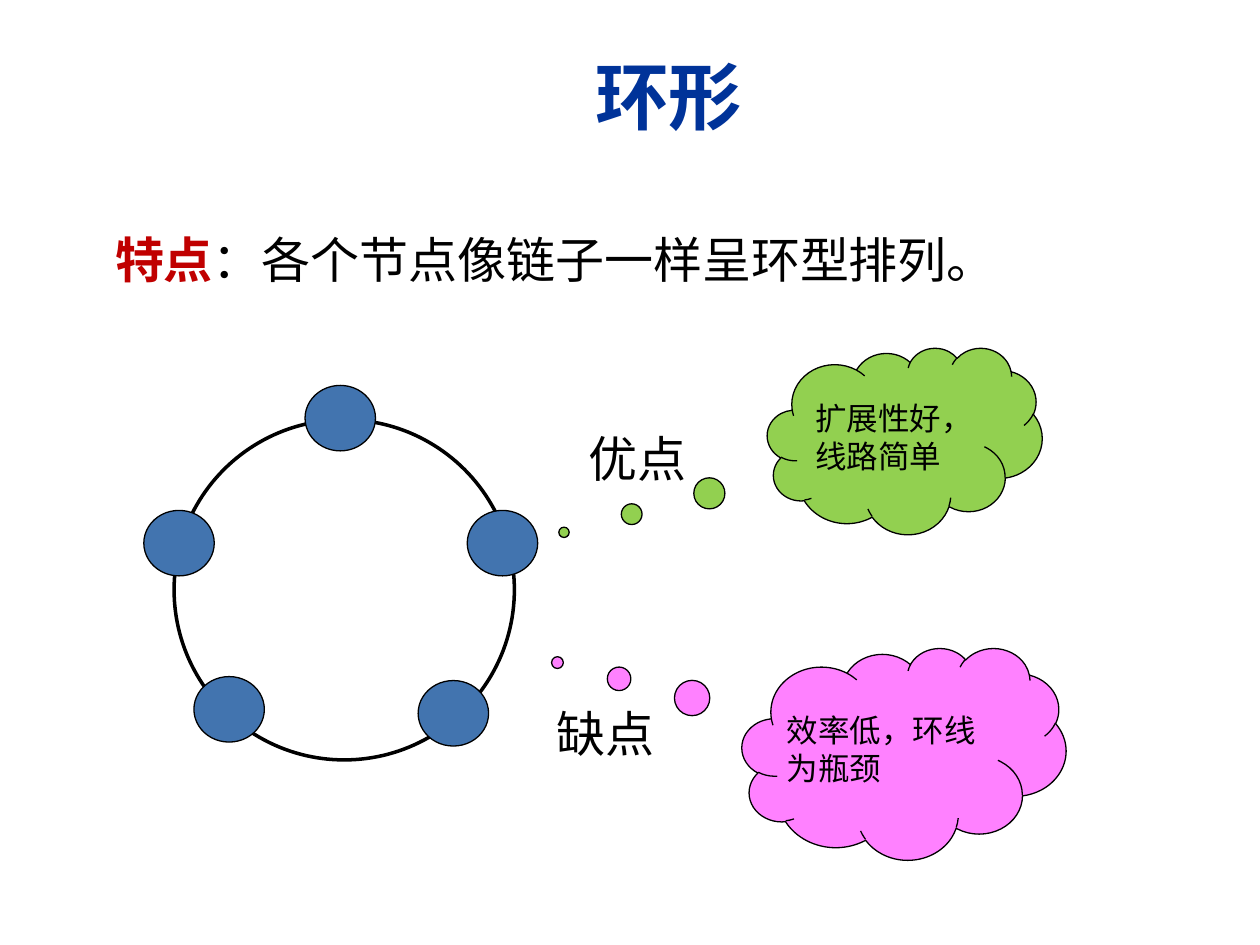
from dataclasses import dataclass

from lxml.etree import SubElement
from pptx import Presentation
from pptx.dml.color import RGBColor
from pptx.enum.shapes import MSO_SHAPE
from pptx.enum.text import MSO_ANCHOR, PP_ALIGN
from pptx.oxml.ns import qn
from pptx.util import Cm, Pt

LATIN_FONT = "Calibri"
CHINESE_FONT = "Noto Sans CJK SC"
BLACK, WHITE, NODE_BLUE = "000000", "FFFFFF", "4274AF"
TITLE_BLUE, KEYWORD_RED = "003399", "C00000"
NODE_WIDTH, NODE_HEIGHT = 1.42, 1.32


@dataclass(frozen=True)
class Box:
    """Left, top, width and height in centimetres."""
    left: float
    top: float
    width: float
    height: float

    def lengths(self) -> tuple:
        return Cm(self.left), Cm(self.top), Cm(self.width), Cm(self.height)


@dataclass(frozen=True)
class Opinion:
    label: str
    label_box: Box
    text: str
    cloud_box: Box
    tail: tuple[float, float]
    color: str
    left_inset: float


OPINIONS = (
    Opinion("优点", Box(11.61, 8.48, 2.51, 1.5), "扩展性好，线路简单",
            Box(15.47, 7.01, 5.54, 3.76), (-1.24, 0.49), "92D050", 0.2),
    Opinion("缺点", Box(10.97, 14.22, 2.51, 1.12), "效率低，环线为瓶颈",
            Box(14.96, 13.06, 6.53, 4.27), (-1.07, -0.43), "FF81FF", 0),
)
RING = Box(3.51, 8.46, 6.86, 6.86)
NODE_CORNERS = ((6.15, 7.77), (2.9, 10.29), (9.42, 10.29), (3.91, 13.64), (8.43, 13.72))


def rgb(color: str) -> RGBColor:
    return RGBColor.from_string(color)


def add_run(paragraph, text: str, *, size: float, color: str = BLACK,
            bold: bool = False, font: str = LATIN_FONT) -> None:
    run = paragraph.add_run()
    run.text = text
    run.font.size = Pt(size)
    run.font.bold = bold
    run.font.color.rgb = rgb(color)
    run.font.name = font
    SubElement(run.font._element, qn("a:ea"), typeface=CHINESE_FONT)


def add_outlined_shape(slide, kind: MSO_SHAPE, box: Box, *, fill: str | None = None,
                       line: str = BLACK, line_width: float = 0.75):
    shape = slide.shapes.add_shape(kind, *box.lengths())
    shape.shadow.inherit = False
    if fill:
        shape.fill.solid()
        shape.fill.fore_color.rgb = rgb(fill)
    else:
        shape.fill.background()
    shape.line.color.rgb = rgb(line)
    shape.line.width = Pt(line_width)
    return shape


def write_in_shape(shape, text: str, *, size: float) -> None:
    """Put left-aligned, vertically centred text in a shape."""
    frame = shape.text_frame
    frame.word_wrap = True
    frame.vertical_anchor = MSO_ANCHOR.MIDDLE
    paragraph = frame.paragraphs[0]
    paragraph.alignment = PP_ALIGN.LEFT
    add_run(paragraph, text, size=size, font=CHINESE_FONT)


def add_text_frame(slide, box: Box):
    frame = slide.shapes.add_textbox(*box.lengths()).text_frame
    frame.word_wrap = True
    return frame


def add_heading(slide) -> None:
    title = add_text_frame(slide, Box(2.36, 0.64, 22.25, 2.54))
    title.vertical_anchor = MSO_ANCHOR.MIDDLE
    title.paragraphs[0].alignment = PP_ALIGN.CENTER
    add_run(title.paragraphs[0], "环形", size=42, color=TITLE_BLUE, bold=True)

    feature = add_text_frame(slide, Box(1.65, 4.5, 19.61, 2.01))
    feature.margin_left = Cm(0.67)
    add_run(feature.paragraphs[0], "特点", size=28, color=KEYWORD_RED, bold=True)
    add_run(feature.paragraphs[0], "：各个节点像链子一样呈环型排列。", size=28)


def add_opinion(slide, opinion: Opinion) -> None:
    label = add_outlined_shape(slide, MSO_SHAPE.RECTANGLE, opinion.label_box, line=WHITE)
    write_in_shape(label, opinion.label, size=28)

    cloud = add_outlined_shape(slide, MSO_SHAPE.CLOUD_CALLOUT, opinion.cloud_box,
                               fill=opinion.color)
    cloud.adjustments[0], cloud.adjustments[1] = opinion.tail
    frame = cloud.text_frame
    frame.margin_left = Cm(opinion.left_inset)
    frame.margin_top = frame.margin_right = frame.margin_bottom = 0
    write_in_shape(cloud, opinion.text, size=18)


def add_ring_network(slide) -> None:
    add_outlined_shape(slide, MSO_SHAPE.FLOWCHART_CONNECTOR, RING, line_width=2)
    for left, top in NODE_CORNERS:
        add_outlined_shape(slide, MSO_SHAPE.OVAL, Box(left, top, NODE_WIDTH, NODE_HEIGHT),
                           fill=NODE_BLUE)


def main() -> None:
    presentation = Presentation()
    presentation.slide_width, presentation.slide_height = Cm(25.4), Cm(19.05)
    slide = presentation.slides.add_slide(presentation.slide_layouts[6])
    add_heading(slide)
    for opinion in OPINIONS:
        add_opinion(slide, opinion)
    add_ring_network(slide)
    presentation.save("out.pptx")


if __name__ == "__main__":
    main()
